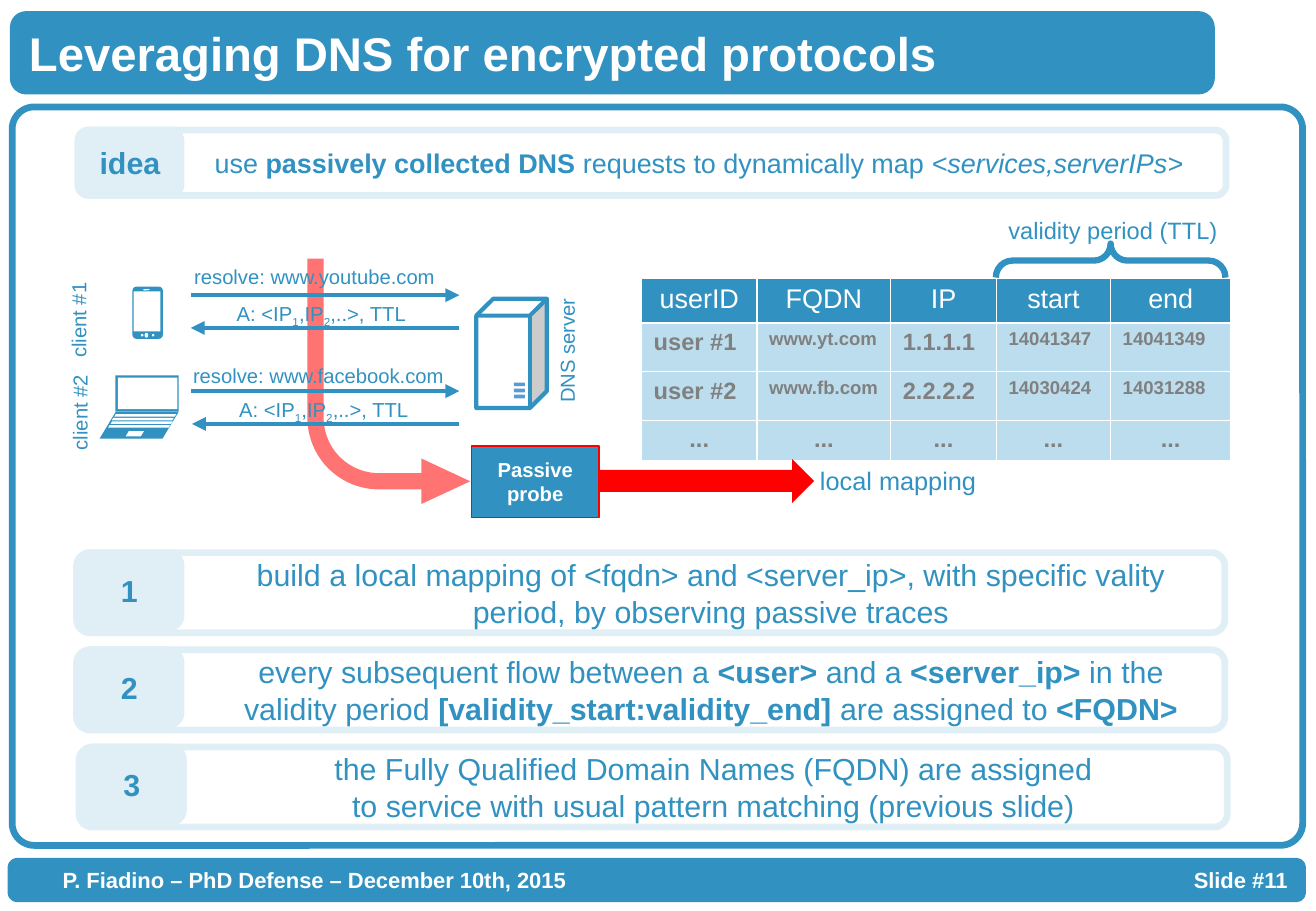
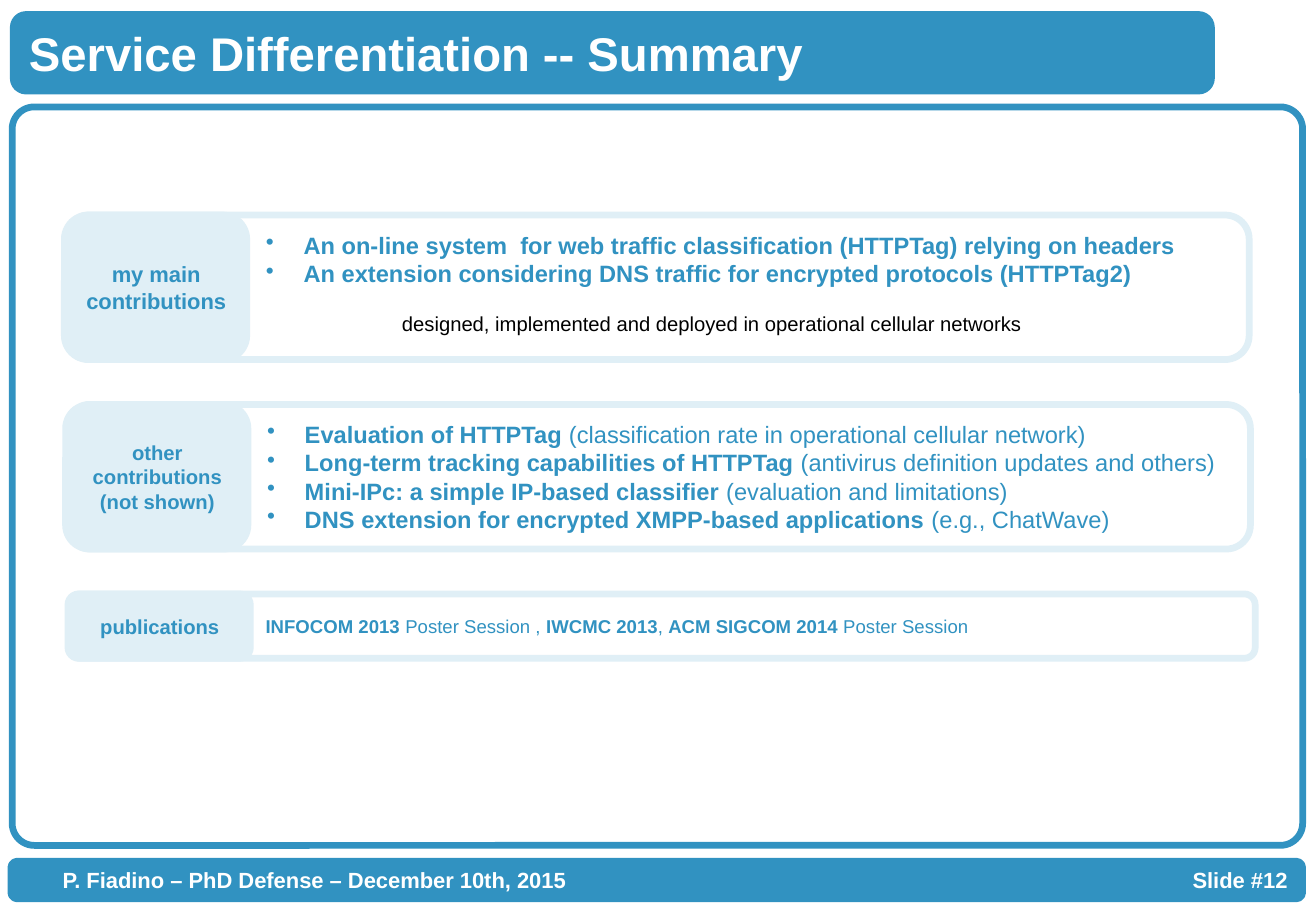
from dataclasses import dataclass
from typing import NamedTuple, Optional, Sequence, Union

from lxml.etree import SubElement
from pptx import Presentation
from pptx.dml.color import RGBColor as RGB
from pptx.enum.shapes import MSO_CONNECTOR as LINE, MSO_SHAPE as PRESET
from pptx.enum.text import MSO_ANCHOR as ANCHOR, PP_ALIGN as ALIGN
from pptx.oxml.ns import qn
from pptx.util import Emu, Pt

EMU_PER_PX = 9144  # 100 px to the inch


@dataclass(frozen=True)
class Theme:
    font: str = "Arial"
    blue: RGB = RGB(0x31, 0x92, 0xC1)
    pale: RGB = RGB(0xE0, 0xEF, 0xF6)
    cell: RGB = RGB(0xBC, 0xDD, 0xEE)
    server_light: RGB = RGB(0x5B, 0x9B, 0xD5)
    gray: RGB = RGB(0x80, 0x80, 0x80)
    red: RGB = RGB(0xFF, 0x00, 0x00)
    white: RGB = RGB(0xFF, 0xFF, 0xFF)
    black: RGB = RGB(0x00, 0x00, 0x00)
    title: int = 28
    step: int = 18
    idea: int = 16
    mapping: int = 15
    bullet: int = 14
    footer: int = 13
    small: int = 12
    tiny: int = 11
    outline: float = 4


THEME = Theme()


class Box(NamedTuple):
    left: int
    top: int
    width: int
    height: int


class Span(NamedTuple):
    text: str
    bold: Optional[bool] = None
    italic: bool = False
    subscript: bool = False


Paragraph = Union[str, Sequence[Span]]


@dataclass(frozen=True)
class Style:
    size: int
    color: RGB = THEME.blue
    bold: bool = False
    align: ALIGN = ALIGN.LEFT
    bulleted: bool = False


@dataclass(frozen=True)
class Part:
    preset: PRESET
    box: Box
    fill: Optional[RGB] = THEME.white
    line: Optional[RGB] = None
    weight: float = 1
    adjust: Sequence[float] = ()


@dataclass(frozen=True)
class Panel:
    """A pale outlined box whose left end is a filled label."""
    box: Box
    label: Sequence[str]
    label_width: int
    label_height: int
    label_size: int
    content: Sequence[Paragraph]
    style: Style
    inset_left: int
    inset_right: int = 10
    inset_bottom: int = 5


class Exchange(NamedTuple):
    y: int
    start: int
    end: int
    caption: Paragraph
    caption_box: Box


def px(value: float) -> Emu:
    return Emu(round(value * EMU_PER_PX))


def place(box: Box) -> list[Emu]:
    return [px(length) for length in box]


def strong(text: str) -> Span:
    return Span(text, bold=True)


def write(frame, content: Sequence[Paragraph], style: Style) -> None:
    for index, item in enumerate(content):
        paragraph = frame.add_paragraph() if index else frame.paragraphs[0]
        spans = [Span(item)] if isinstance(item, str) else item
        if style.bulleted:
            properties = paragraph._p.get_or_add_pPr()
            properties.set("marL", str(px(31)))
            properties.set("indent", str(-px(31)))
            SubElement(properties, qn("a:buChar")).set("char", "•")
        paragraph.alignment = style.align
        if len(spans) == 1:
            paragraph.text = spans[0].text
        else:
            for span in spans:
                paragraph.add_run().text = span.text
        for run, span in zip(paragraph.runs, spans):
            font = run.font
            font.name, font.size = THEME.font, Pt(style.size)
            font.bold = style.bold if span.bold is None else span.bold
            font.italic = span.italic
            font.color.rgb = style.color
            if span.subscript:
                run._r.get_or_add_rPr().set("baseline", "-25000")


def draw(shapes, part: Part):
    shape = shapes.add_shape(part.preset, *place(part.box))
    shape.shadow.inherit = False
    for index, value in enumerate(part.adjust):
        shape.adjustments[index] = value
    if part.fill is None:
        shape.fill.background()
    else:
        shape.fill.solid()
        shape.fill.fore_color.rgb = part.fill
    if part.line is None:
        shape.line.fill.background()
    else:
        shape.line.color.rgb = part.line
        shape.line.width = Pt(part.weight)
    shape.text_frame.vertical_anchor = ANCHOR.MIDDLE
    return shape


def draw_rounded(shapes, box: Box, fill: Optional[RGB], line: RGB, adjust: Sequence[float] = ()):
    return draw(shapes, Part(PRESET.ROUNDED_RECTANGLE, box, fill, line, THEME.outline, adjust))


def draw_icon(shapes, parts: Sequence[Part]) -> None:
    icon = shapes.add_group_shape()
    for part in parts:
        draw(icon.shapes, part)


def add_caption(shapes, box: Box, content: Paragraph, style: Style, rotation: int = 0) -> None:
    caption = shapes.add_textbox(*place(box))
    caption.rotation = rotation
    caption.text_frame.word_wrap = False
    write(caption.text_frame, [content], style)


def add_arrow(shapes, y: int, start: int, end: int) -> None:
    arrow = shapes.add_connector(LINE.STRAIGHT, px(start), px(y), px(end), px(y))
    arrow.line.color.rgb = THEME.blue
    arrow.line.width = Pt(2.75)
    SubElement(arrow.line._get_or_add_ln(), qn("a:tailEnd")).set("type", "triangle")
    SubElement(arrow._element.spPr, qn("a:effectLst"))


def add_panel(shapes, panel: Panel) -> None:
    body = draw_rounded(shapes, panel.box, None, THEME.pale)
    frame = body.text_frame
    frame.word_wrap = True
    frame.margin_left, frame.margin_right = px(panel.inset_left), px(panel.inset_right)
    frame.margin_bottom = px(panel.inset_bottom)
    write(frame, panel.content, panel.style)
    label_box = Box(panel.box.left + 1, panel.box.top, panel.label_width, panel.label_height)
    label = draw_rounded(shapes, label_box, THEME.pale, THEME.pale)
    write(label.text_frame, panel.label, Style(panel.label_size, bold=True, align=ALIGN.CENTER))


def add_framed_slide(deck, title: str, number: int):
    """Blank slide with the title band, the content frame and the footer band."""
    shapes = deck.slides.add_slide(deck.slide_layouts[6]).shapes
    draw_rounded(shapes, Box(10, 88, 1062, 608), None, THEME.blue, [0.03])
    heading = draw_rounded(shapes, Box(11, 12, 986, 63), THEME.blue, THEME.blue)
    write(heading.text_frame, [title], Style(THEME.title, THEME.white, bold=True))
    footer = draw_rounded(shapes, Box(9, 709, 1063, 31), THEME.blue, THEME.blue).text_frame
    footer.margin_left, footer.margin_right = px(41), 0
    tabs = SubElement(footer.paragraphs[0]._p.get_or_add_pPr(), qn("a:tabLst"))
    tab = SubElement(tabs, qn("a:tab"))
    tab.set("pos", str(px(1008)))
    tab.set("algn", "r")
    write(footer, [f"P. Fiadino – PhD Defense – December 10th, 2015\tSlide #{number}"],
          Style(THEME.footer, THEME.white, bold=True))
    return shapes


def border_cell(cell) -> None:
    properties = cell._tc.get_or_add_tcPr()
    for index, side in enumerate(("lnL", "lnR", "lnT", "lnB")):
        line = SubElement(properties, qn(f"a:{side}"))
        line.set("w", str(Pt(1)))
        fill = SubElement(line, qn("a:solidFill"))
        SubElement(fill, qn("a:srgbClr")).set("val", str(THEME.white))
        properties.insert(index, line)


def add_mapping_table(shapes) -> None:
    rows = (("userID", "FQDN", "IP", "start", "end"),
            ("user #1", "www.yt.com", "1.1.1.1", "14041347", "14041349"),
            ("user #2", "www.fb.com", "2.2.2.2", "14030424", "14031288"),
            ("...",) * 5)
    column_widths, row_heights = (95, 110, 87, 94, 99), (37, 40, 40, 32)
    header = Style(THEME.idea, THEME.white, align=ALIGN.CENTER)
    value_sizes = (THEME.bullet, THEME.tiny, THEME.bullet, THEME.tiny, THEME.tiny)
    box = Box(528, 229, sum(column_widths), sum(row_heights))
    table = shapes.add_table(len(rows), len(column_widths), *place(box)).table
    table.first_row = table.horz_banding = False
    for column, width in zip(table.columns, column_widths):
        column.width = px(width)
    for r, (values, height) in enumerate(zip(rows, row_heights)):
        table.rows[r].height = px(height)
        for c, value in enumerate(values):
            cell = table.cell(r, c)
            cell.fill.solid()
            cell.fill.fore_color.rgb = THEME.cell if r else THEME.blue
            border_cell(cell)
            if r == 0:
                style = header
            elif value == "...":
                style = Style(THEME.bullet, THEME.gray, True, ALIGN.CENTER)
            else:
                style = Style(value_sizes[c], THEME.gray, True)
            write(cell.text_frame, [value], style)


def add_devices(shapes) -> None:
    rounded, slanted = PRESET.ROUNDED_RECTANGLE, PRESET.PARALLELOGRAM
    slant = (0.6,)
    draw_icon(shapes, [
        Part(rounded, Box(109, 236, 25, 43), THEME.blue, adjust=(0.13,)),
        Part(PRESET.RECTANGLE, Box(110, 240, 22, 33)),
        Part(PRESET.OVAL, Box(119, 274, 3, 4)),
        *(Part(PRESET.OVAL, Box(x, 275, 2, 2)) for x in (125, 116)),
        Part(rounded, Box(118, 238, 5, 1))])
    draw_icon(shapes, [
        Part(slanted, Box(82, 339, 65, 22), THEME.blue, adjust=slant),
        Part(slanted, Box(102, 354, 18, 6), line=THEME.blue, adjust=slant),
        Part(PRESET.RECTANGLE, Box(95, 309, 52, 30), THEME.blue),
        Part(PRESET.RECTANGLE, Box(97, 311, 49, 26)),
        *(Part(slanted, Box(94 - round(i * 5 / 3), 341 + 3 * i, 51, 2), adjust=slant)
          for i in range(4))])
    draw_icon(shapes, [
        Part(PRESET.CUBE, Box(392, 246, 58, 90), line=THEME.blue, weight=2.5, adjust=(0.24,)),
        *(Part(rounded, Box(423, 315 + 5 * i, 9, 3), THEME.server_light) for i in range(3))])


def build_dns_slide(deck) -> None:
    shapes = add_framed_slide(deck, "Leveraging DNS for encrypted protocols", 11)
    small = Style(THEME.small)
    tap = draw(shapes, Part(PRESET.BENT_ARROW, Box(253, 213, 134, 202), THEME.red,
                            adjust=(0.1, 0.14, 0.3, 0.44)))
    tap._element.spPr.xfrm.set("flipV", "1")
    tap_color = tap._element.spPr.find(qn("a:solidFill"))[0]
    SubElement(tap_color, qn("a:alpha")).set("val", "55000")

    answer = (Span("A: <IP"), Span("1", subscript=True), Span(",IP"),
              Span("2", subscript=True), Span(",..>, TTL"))
    for exchange in (
            Exchange(243, 157, 378, "resolve: www.youtube.com", Box(150, 213, 220, 30)),
            Exchange(270, 378, 157, answer, Box(185, 243, 163, 30)),
            Exchange(322, 157, 378, "resolve: www.facebook.com", Box(149, 294, 228, 30)),
            Exchange(349, 378, 158, answer, Box(187, 322, 163, 30))):
        add_arrow(shapes, exchange.y, exchange.start, exchange.end)
        add_caption(shapes, exchange.caption_box, exchange.caption, small)
    for name, box in (("client #1", Box(23, 248, 83, 30)), ("client #2", Box(24, 324, 83, 30)),
                      ("DNS server", Box(413, 273, 107, 30))):
        add_caption(shapes, box, name, small, rotation=270)
    add_devices(shapes)

    probe = draw(shapes, Part(PRESET.RECTANGLE, Box(388, 367, 105, 59), THEME.blue, THEME.red))
    write(probe.text_frame, ["Passive probe"],
          Style(THEME.small, THEME.white, True, ALIGN.CENTER))
    add_mapping_table(shapes)
    add_caption(shapes, Box(665, 378, 150, 35), "local mapping", Style(THEME.mapping))
    draw(shapes, Part(PRESET.RIGHT_ARROW, Box(493, 378, 177, 36), THEME.red))
    brace = draw(shapes, Part(PRESET.RIGHT_BRACE, Box(900, 120, 28, 189), None, THEME.blue, 3.75,
                              (0.49, 0.5)))
    brace.rotation = 270
    add_caption(shapes, Box(820, 173, 193, 34), "validity period (TTL)", Style(THEME.bullet))

    idea = (Span("use "), strong("passively collected DNS"),
            Span(" requests to dynamically map "), Span("<services,serverIPs>", italic=True))
    add_panel(shapes, Panel(Box(64, 107, 945, 54), ["idea"], 84, 54, THEME.step, [idea],
                            Style(THEME.idea), 110))
    steps = (
        (63, ["build a local mapping of <fqdn> and <server_ip>, with specific vality period, "
              "by observing passive traces"]),
        (63, [(Span("every subsequent flow between a "), strong("<user> "), Span("and a "),
               strong("<server_ip> "), Span("in the validity period "),
               strong("[validity_start:validity_end] "), Span("are assigned to "),
               strong("<FQDN>"))]),
        (65, ["the Fully Qualified Domain Names (FQDN) are assigned",
              "to service with usual pattern matching (previous slide)"]))
    for index, (left, content) in enumerate(steps):
        add_panel(shapes, Panel(Box(left, 455 + 80 * index, 945, 66), [str(index + 1)], 85, 62,
                                THEME.step, content, Style(THEME.step, align=ALIGN.CENTER), 109))


def build_summary_slide(deck) -> None:
    shapes = add_framed_slide(deck, "Service Differentiation -- Summary", 12)
    bullets = Style(THEME.bullet, bulleted=True)
    main = ["An on-line system  for web traffic classification (HTTPTag) relying on headers",
            "An extension considering DNS traffic for encrypted protocols (HTTPTag2)"]
    other = [(strong(topic), Span(detail)) for topic, detail in (
        ("Evaluation of HTTPTag ", "(classification rate in operational cellular network)"),
        ("Long-term tracking capabilities of HTTPTag ",
         "(antivirus definition updates and others)"),
        ("Mini-IPc: a simple IP-based classifier ", "(evaluation and limitations)"),
        ("DNS extension for encrypted XMPP-based applications", " (e.g., ChatWave)"))]
    venues = (strong("INFOCOM 2013"), Span(" Poster Session , "), strong("IWCMC 2013"),
              Span(", "), strong("ACM SIGCOM 2014"), Span(" Poster Session"))
    for panel in (
            Panel(Box(53, 177, 975, 119), ["my main", "contributions"], 149, 119, THEME.footer,
                  main, Style(THEME.bullet, bold=True, bulleted=True), 160, inset_bottom=51),
            Panel(Box(54, 333, 975, 119), ["other contributions (not shown)"], 149, 119,
                  THEME.small, other, bullets, 160),
            Panel(Box(56, 489, 977, 53), ["publications"], 149, 53, THEME.small, [venues],
                  Style(THEME.tiny), 160)):
        add_panel(shapes, panel)
    add_caption(shapes, Box(321, 251, 533, 30),
                "designed, implemented and deployed in operational cellular networks",
                Style(THEME.small, THEME.black))


def main() -> None:
    deck = Presentation()
    deck.slide_width, deck.slide_height = px(1083), px(750)
    build_dns_slide(deck)
    build_summary_slide(deck)
    deck.save("out.pptx")


if __name__ == "__main__":
    main()
